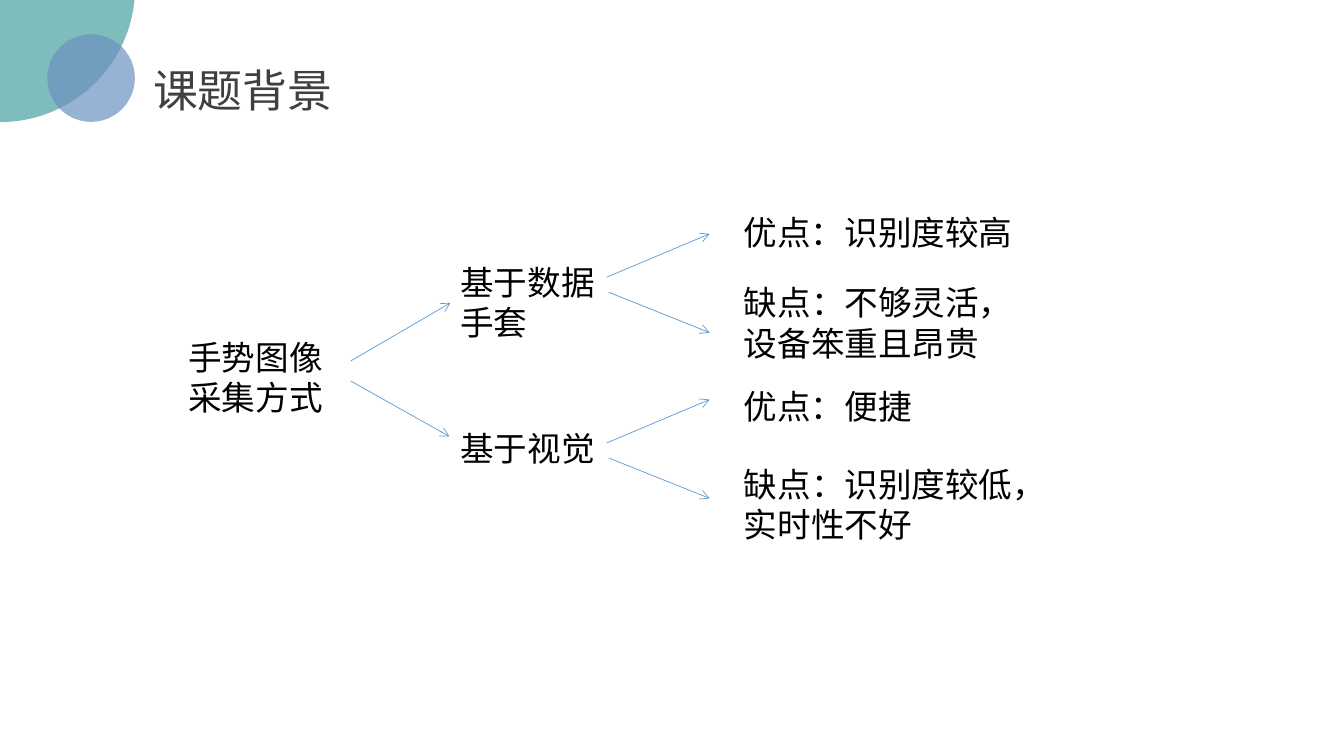
from dataclasses import dataclass
from typing import Optional

from lxml.etree import SubElement
from pptx import Presentation
from pptx.dml.color import RGBColor
from pptx.enum.shapes import MSO_CONNECTOR, MSO_SHAPE
from pptx.enum.text import MSO_ANCHOR, MSO_AUTO_SIZE, PP_ALIGN
from pptx.oxml.ns import qn
from pptx.shapes.autoshape import Shape
from pptx.shapes.connector import Connector
from pptx.slide import Slide
from pptx.util import Pt


@dataclass(frozen=True)
class Theme:
    font: str = "Noto Sans CJK SC"
    title_size: float = 32
    body_size: float = 24
    title: str = "404040"
    body: str = "000000"
    teal: str = "48A2A0"
    blue: str = "6C92C0"
    arrow: str = "5B9BD5"
    arrow_width: float = 0.5
    opacity: int = 70


@dataclass(frozen=True)
class Circle:
    left: float
    top: float
    size: float
    color: str


@dataclass(frozen=True)
class Label:
    text: str
    left: float
    top: float
    width: float
    height: float


@dataclass(frozen=True)
class Arrow:
    x1: float
    y1: float
    x2: float
    y2: float
    target: Optional[str] = None


THEME = Theme()
LEFT_SIDE = 1
ONE_LINE, TWO_LINES = 36, 65.5
METHOD_X, REMARK_X = 321.8, 524.2
BRANCH_STEP = 118.4

CIRCLES = [
    Circle(-96.5, -105.8, 193, THEME.teal),
    Circle(33.8, 24.5, 62.6, THEME.blue),
]
TITLE = Label("课题背景", 102.2, 41, 157, 46)
GLOVE = "基于数据手套"
LABELS = [
    Label("手势图像采集方式", 127.4, 236.9, 123.1, TWO_LINES),
    Label(GLOVE, METHOD_X, 183.6, 126.7, TWO_LINES),
    Label("基于视觉", METHOD_X, 302.4, 141.1, ONE_LINE),
    Label("优点：识别度较高", REMARK_X, 147.6, 266.4, ONE_LINE),
    Label("缺点：不够灵活，设备笨重且昂贵", REMARK_X, 198, 223.9, TWO_LINES),
    Label("优点：便捷", REMARK_X, 272.2, 160.6, ONE_LINE),
    Label("缺点：识别度较低，实时性不好", REMARK_X, 327.6, 236.2, TWO_LINES),
]
ROOT_ARROWS = [
    Arrow(250.6, 257.8, METHOD_X, 216, GLOVE),
    Arrow(250.6, 272.2, 321.1, 311.8),
]
BRANCH_ARROWS = [
    Arrow(433.4, 198, 506.9, 167),
    Arrow(434.9, 208.8, 506.9, 237.6),
]
ARROWS = ROOT_ARROWS + [
    Arrow(a.x1, a.y1 + i * BRANCH_STEP, a.x2, a.y2 + i * BRANCH_STEP)
    for i in range(2)
    for a in BRANCH_ARROWS
]


def set_attributes(target: object, values: dict) -> None:
    for name, value in values.items():
        setattr(target, name, value)


def add_circle(s: Slide, circle: Circle) -> None:
    size = Pt(circle.size)
    sp = s.shapes.add_shape(
        MSO_SHAPE.OVAL, Pt(circle.left), Pt(circle.top), size, size
    )
    sp.shadow.inherit = False
    sp.line.fill.background()
    sp.fill.solid()
    sp.fill.fore_color.rgb = RGBColor.from_string(circle.color)
    color = sp._element.spPr.find(f"{qn('a:solidFill')}/{qn('a:srgbClr')}")
    SubElement(color, qn("a:alpha"), val=str(THEME.opacity * 1000))


def format_label(sp: Shape, label: Label, size: float, color: str) -> None:
    set_attributes(sp, {
        "left": Pt(label.left),
        "top": Pt(label.top),
        "width": Pt(label.width),
        "height": Pt(label.height),
    })
    tf = sp.text_frame
    set_attributes(tf, {
        "word_wrap": True,
        "auto_size": MSO_AUTO_SIZE.SHAPE_TO_FIT_TEXT,
        "vertical_anchor": MSO_ANCHOR.TOP,
    })
    p = tf.paragraphs[0]
    set_attributes(p, {"alignment": PP_ALIGN.LEFT, "line_spacing": 1.0})
    r = p.add_run()
    r.text = label.text
    set_attributes(r.font, {"name": THEME.font, "size": Pt(size)})
    r.font.color.rgb = RGBColor.from_string(color)
    SubElement(r._r.get_or_add_rPr(), qn("a:ea"), typeface=THEME.font)


def add_label(s: Slide, label: Label) -> Shape:
    sp = s.shapes.add_textbox(0, 0, Pt(label.width), Pt(label.height))
    format_label(sp, label, THEME.body_size, THEME.body)
    return sp


def add_arrow(s: Slide, arrow: Arrow) -> Connector:
    line = s.shapes.add_connector(
        MSO_CONNECTOR.STRAIGHT,
        Pt(arrow.x1), Pt(arrow.y1), Pt(arrow.x2), Pt(arrow.y2),
    )
    line.line.color.rgb = RGBColor.from_string(THEME.arrow)
    line.line.width = Pt(THEME.arrow_width)
    SubElement(line.line._get_or_add_ln(), qn("a:tailEnd"), type="arrow")
    SubElement(line._element.spPr, qn("a:effectLst"))
    return line


def main() -> None:
    prs = Presentation()
    set_attributes(prs, {"slide_width": Pt(960), "slide_height": Pt(540)})
    s = prs.slides.add_slide(prs.slide_layouts[5])
    format_label(s.shapes.title, TITLE, THEME.title_size, THEME.title)
    for circle in CIRCLES:
        add_circle(s, circle)
    boxes = {label.text: add_label(s, label) for label in LABELS}
    for arrow in ARROWS:
        line = add_arrow(s, arrow)
        if arrow.target:
            line.end_connect(boxes[arrow.target], LEFT_SIDE)
    prs.save("out.pptx")


if __name__ == "__main__":
    main()
